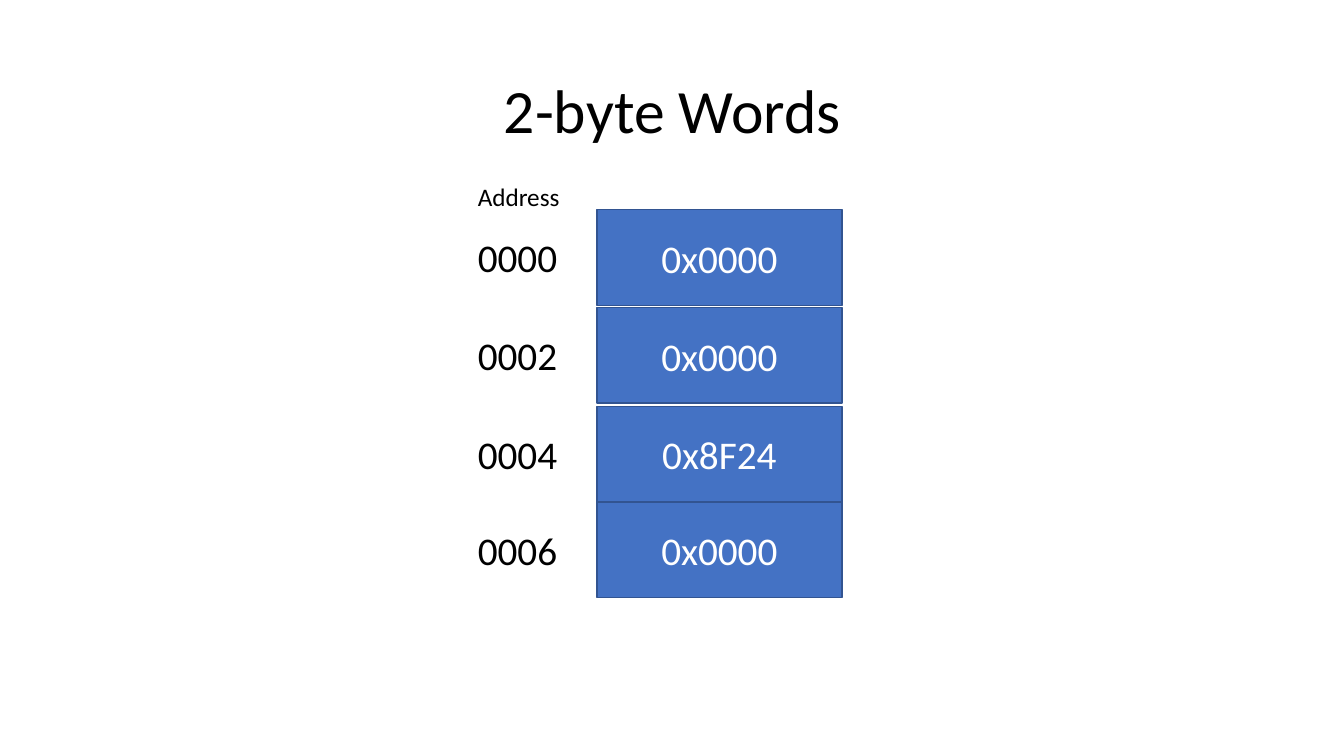
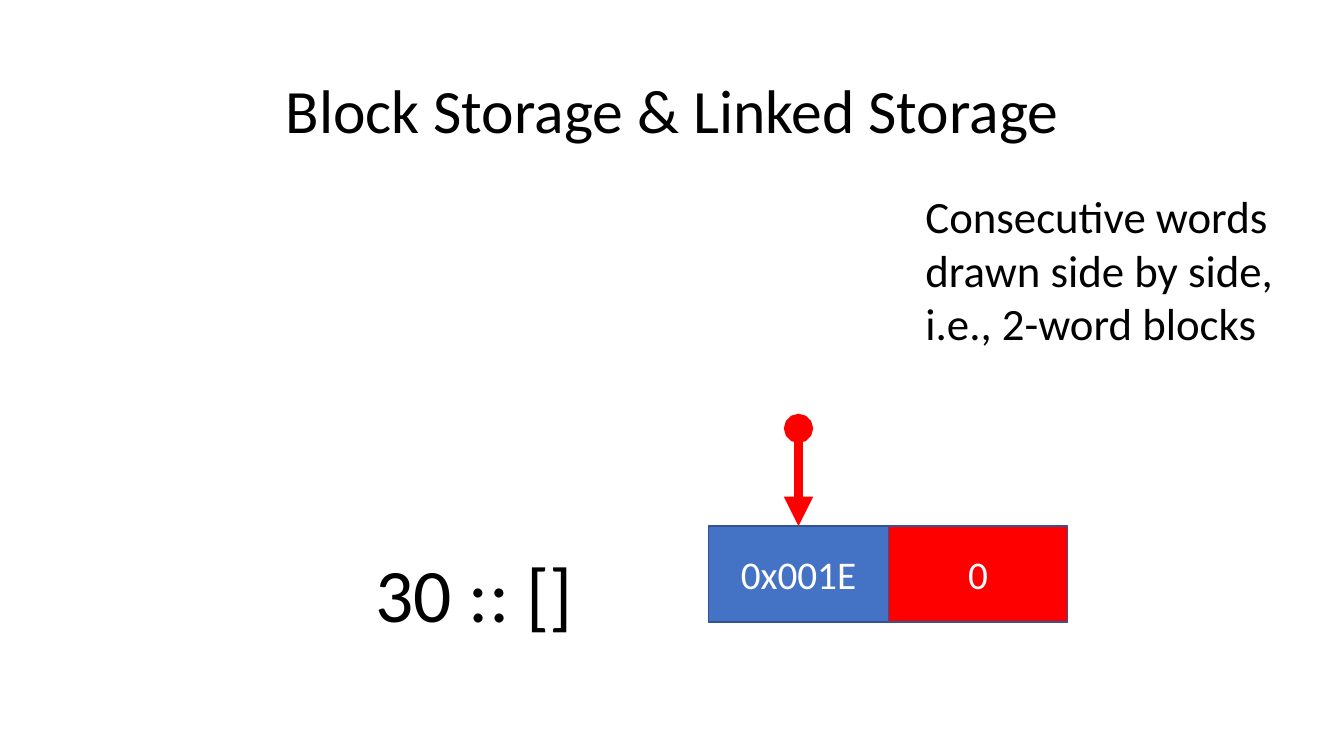
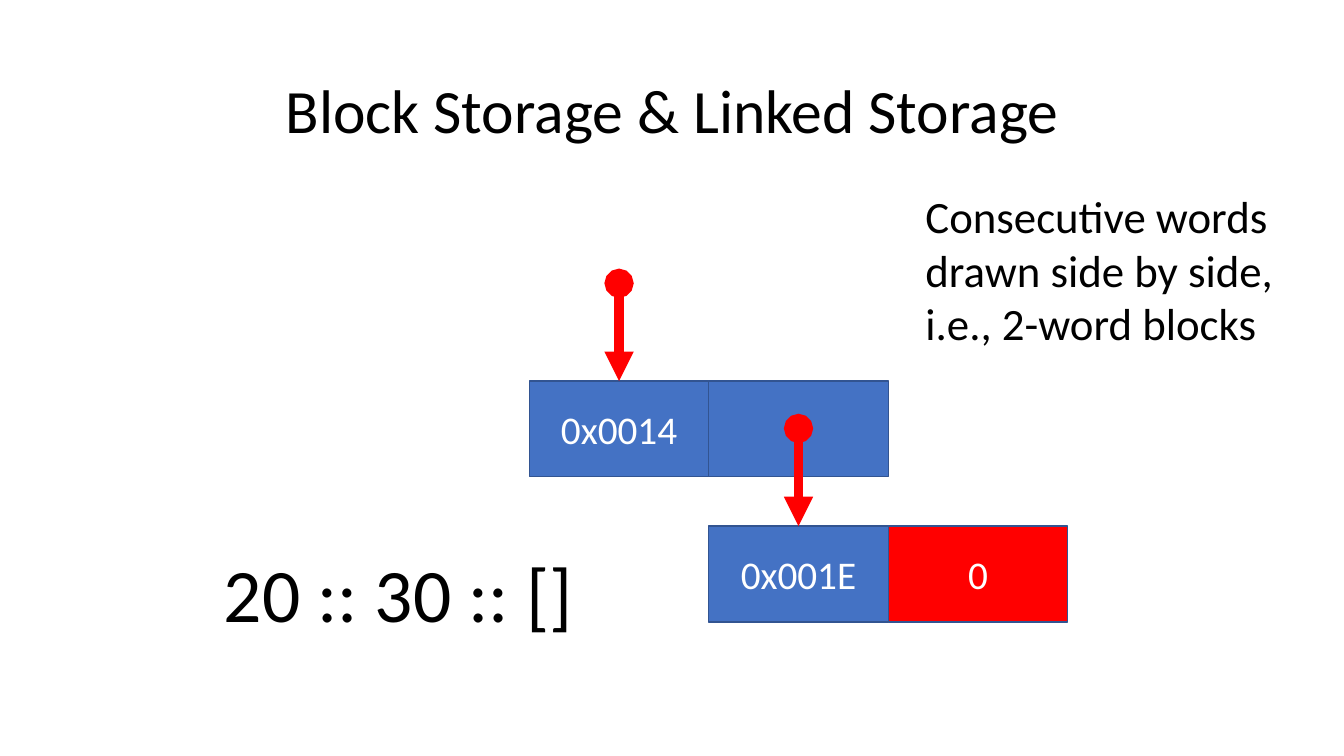
from lxml.etree import SubElement
from pptx import Presentation
from pptx.dml.color import RGBColor
from pptx.enum.shapes import MSO_CONNECTOR, MSO_SHAPE
from pptx.enum.text import MSO_ANCHOR, PP_ALIGN
from pptx.oxml.ns import qn
from pptx.util import Inches, Pt

FONT = "Calibri"
BLACK, WHITE = "000000", "FFFFFF"
BLUE, OUTLINE, RED = "4472C4", "325491", "FF0000"

CELL_HEIGHT = 0.95
WORD_WIDTH = 2.43
BLOCK_CELL_WIDTH = 1.78
POINTER_LENGTH = 0.97

STORAGE_TITLE = "Block Storage & Linked Storage"
STORAGE_NOTE = "Consecutive words drawn side by side, i.e., 2-word blocks"


def color(hex_string):
    return RGBColor.from_string(hex_string)


def write(shape, text, size, text_color=BLACK, align=PP_ALIGN.LEFT,
          anchor=MSO_ANCHOR.TOP, line_spacing=None, wrap=True):
    frame = shape.text_frame
    frame.word_wrap = wrap
    frame.vertical_anchor = anchor
    paragraph = frame.paragraphs[0]
    paragraph.alignment = align
    paragraph.line_spacing = line_spacing
    run = paragraph.add_run()
    run.text = text
    run.font.name = FONT
    run.font.size = Pt(size)
    run.font.color.rgb = color(text_color)


def prepare_layout(presentation):
    """Return the title-only layout, its title fitted to the wide slide."""
    layout = presentation.slide_layouts[5]
    title = layout.placeholders[0]
    title.left, title.top = Inches(0.92), Inches(0.4)
    title.width, title.height = Inches(11.5), Inches(1.45)
    return layout


def add_titled_slide(presentation, layout, title):
    slide = presentation.slides.add_slide(layout)
    write(slide.shapes.title, title, 44, align=PP_ALIGN.CENTER,
          anchor=MSO_ANCHOR.MIDDLE, line_spacing=0.9)
    return slide


def add_text(slide, text, left, top, width, height, size, **style):
    box = slide.shapes.add_textbox(
        Inches(left), Inches(top), Inches(width), Inches(height))
    write(box, text, size, **style)


def add_cell(slide, text, left, top, width, fill=BLUE):
    cell = slide.shapes.add_shape(
        MSO_SHAPE.RECTANGLE, Inches(left), Inches(top),
        Inches(width), Inches(CELL_HEIGHT))
    cell.shadow.inherit = False
    cell.fill.solid()
    cell.fill.fore_color.rgb = color(fill)
    cell.line.color.rgb = color(OUTLINE)
    cell.line.width = Pt(1)
    if text:
        write(cell, text, 28, WHITE, PP_ALIGN.CENTER, MSO_ANCHOR.MIDDLE)
    return cell


def add_block(slide, left, top, value, link="", link_fill=BLUE):
    """Draw a two-word block with a pointer to its first word."""
    value_cell = add_cell(slide, value, left, top, BLOCK_CELL_WIDTH)
    add_cell(slide, link, left + BLOCK_CELL_WIDTH, top, BLOCK_CELL_WIDTH, link_fill)
    return value_cell


def add_pointer(slide, target):
    """Draw an arrow straight down onto the top of the target cell."""
    x = target.left + target.width // 2
    pointer = slide.shapes.add_connector(
        MSO_CONNECTOR.STRAIGHT, x, target.top - Inches(POINTER_LENGTH), x, target.top)
    pointer.end_connect(target, 0)
    pointer.line.color.rgb = color(RED)
    pointer.line.width = Pt(7)
    line = pointer.line._get_or_add_ln()
    SubElement(line, qn("a:headEnd"), type="oval")
    SubElement(line, qn("a:tailEnd"), type="triangle")
    SubElement(pointer._element.spPr, qn("a:effectLst"))


def add_words_slide(presentation, layout):
    slide = add_titled_slide(presentation, layout, "2-byte Words")
    label_left = 4.64
    words = [("0000", "0x0000", 2.08), ("0002", "0x0000", 3.05),
             ("0004", "0x8F24", 4.03), ("0006", "0x0000", 4.98)]
    for address, value, top in words:
        add_cell(slide, value, 5.92, top, WORD_WIDTH)
        add_text(slide, address, label_left, top + 0.19, 1.11, 0.57, 28)
    add_text(slide, "Address", label_left, 1.75, 1.02, 0.4, 18, wrap=False)


def add_storage_slide(presentation, layout, expression, with_first_block):
    slide = add_titled_slide(presentation, layout, STORAGE_TITLE)
    targets = []
    if with_first_block:
        targets.append(add_block(slide, 5.25, 3.78, "0x0014"))
    targets.append(add_block(slide, 7.03, 5.22, "0x001E", "0", RED))
    for target in targets:
        add_pointer(slide, target)
    add_text(slide, STORAGE_NOTE, 9.08, 1.82, 4.02, 1.72, 32)
    add_text(slide, expression, 0.5, 5.21, 5.28, 1.45, 54, align=PP_ALIGN.RIGHT,
             anchor=MSO_ANCHOR.MIDDLE, line_spacing=0.9)


def main():
    presentation = Presentation()
    presentation.slide_width = Inches(13.33)
    presentation.slide_height = Inches(7.5)
    layout = prepare_layout(presentation)
    add_words_slide(presentation, layout)
    add_storage_slide(presentation, layout, "30 :: []", with_first_block=False)
    add_storage_slide(presentation, layout, "20 :: 30 :: []", with_first_block=True)
    presentation.save("out.pptx")


if __name__ == "__main__":
    main()
